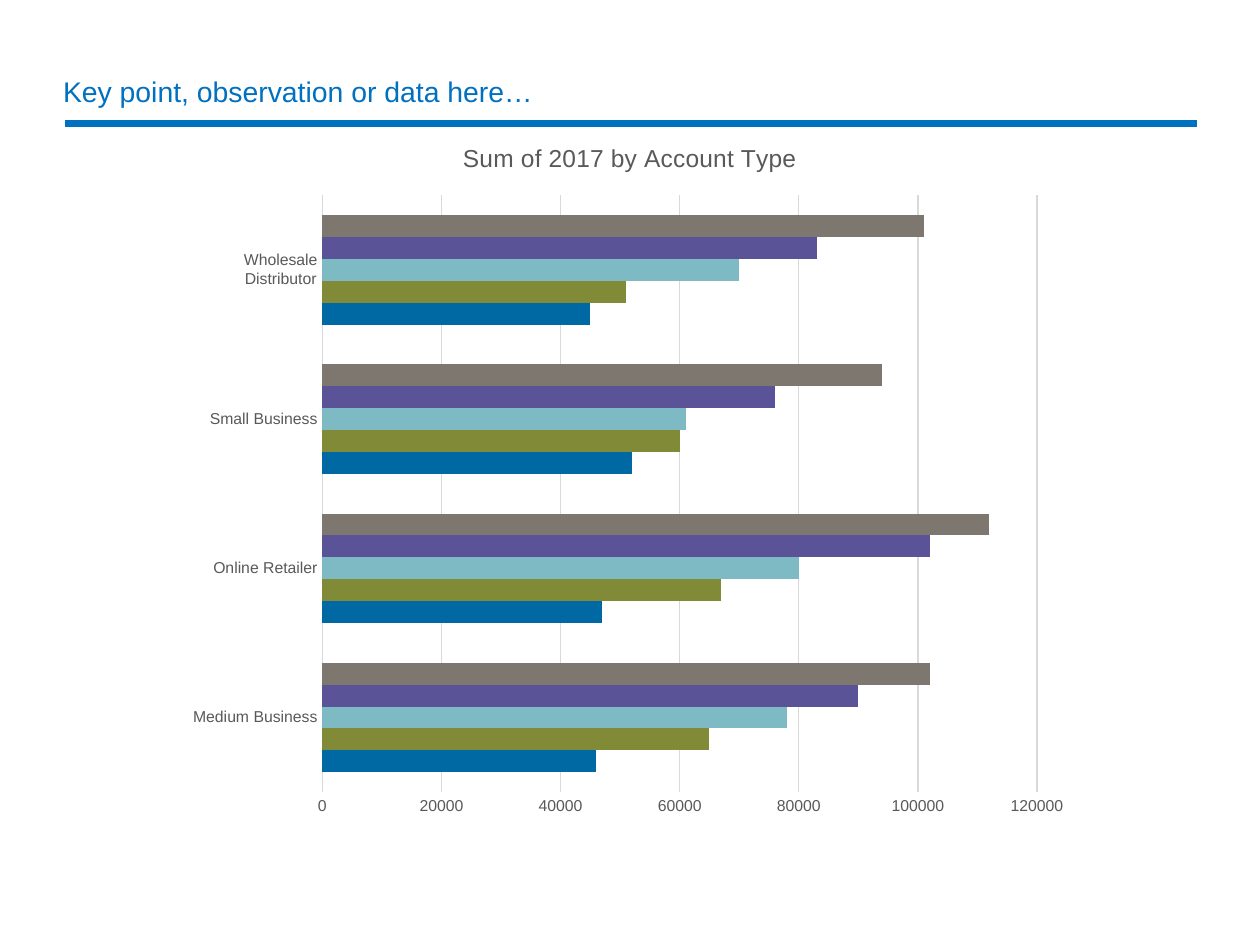
from typing import NamedTuple

from lxml import etree
from pptx import Presentation
from pptx.chart.data import CategoryChartData
from pptx.dml.color import RGBColor
from pptx.enum import chart as ch, shapes, text
from pptx.oxml import parse_xml
from pptx.oxml.ns import nsdecls, qn
from pptx.util import Inches, Pt

FONT = "Arial"
WHITE = RGBColor(0xFF, 0xFF, 0xFF)
BLACK = RGBColor(0x00, 0x00, 0x00)
BLUE = RGBColor(0x00, 0x70, 0xC0)
TEXT_GREY = RGBColor(0x59, 0x59, 0x59)
GRID_GREY = RGBColor(0xD9, 0xD9, 0xD9)


class BarSeries(NamedTuple):
    name: str
    color: RGBColor
    values: tuple[int, ...]


ACCOUNT_TYPES = ("Medium Business", "Online Retailer", "Small Business", "Wholesale Distributor")
SERIES = (
    BarSeries("Series 1", RGBColor(0x00, 0x69, 0xA3), (46000, 47000, 52000, 45000)),
    BarSeries("Series 2", RGBColor(0x81, 0x8A, 0x37), (65000, 67000, 60000, 51000)),
    BarSeries("Series 3", RGBColor(0x7D, 0xBA, 0xC4), (78000, 80000, 61000, 70000)),
    BarSeries("Series 4", RGBColor(0x5A, 0x53, 0x97), (90000, 102000, 76000, 83000)),
    BarSeries("Series 5", RGBColor(0x7E, 0x77, 0x6F), (102000, 112000, 94000, 101000)),
)
PLOT_AREA = {"x": 0.16, "y": 0.11, "w": 0.79, "h": 0.84}


def style_font(font, size: float, color: RGBColor) -> None:
    font.name = FONT
    font.size = Pt(size)
    font.bold = False
    font.color.rgb = color


def add_heading(slide, wording: str) -> None:
    heading = slide.shapes.title
    heading.left, heading.top = Inches(0.5), Inches(0.59)
    heading.width, heading.height = Inches(9), Inches(0.3)
    frame = heading.text_frame
    frame.word_wrap = True
    frame.auto_size = text.MSO_AUTO_SIZE.NONE
    frame.vertical_anchor = text.MSO_ANCHOR.MIDDLE
    frame.margin_left = frame.margin_right = 0
    frame.margin_top = frame.margin_bottom = Inches(0.05)
    paragraph = frame.paragraphs[0]
    paragraph.alignment = text.PP_ALIGN.LEFT
    paragraph.line_spacing = 0.9
    run = paragraph.add_run()
    run.text = wording
    style_font(run.font, 16.2, BLUE)


def add_heading_rule(slide) -> None:
    rule = slide.shapes.add_connector(
        shapes.MSO_CONNECTOR.STRAIGHT, Inches(0.52), Inches(0.98), Inches(9.5), Inches(0.98)
    )
    rule.line.color.rgb = BLUE
    rule.line.width = Pt(4.5)
    etree.SubElement(rule._element.spPr, qn("a:effectLst"))


def style_axis(axis) -> None:
    axis.major_tick_mark = axis.minor_tick_mark = ch.XL_TICK_MARK.NONE
    style_font(axis.tick_labels.font, 9, TEXT_GREY)


def style_grey_line(line) -> None:
    line.color.rgb = GRID_GREY
    line.width = Pt(0.75)


def fix_plot_area(chart) -> None:
    """Pin the inner plot area to fractions of the chart frame."""
    modes = '<c:xMode val="edge"/><c:yMode val="edge"/>'
    sizes = "".join(f'<c:{key} val="{value}"/>' for key, value in PLOT_AREA.items())
    layout = parse_xml(
        f'<c:layout {nsdecls("c")}><c:manualLayout><c:layoutTarget val="inner"/>'
        f"{modes}{sizes}</c:manualLayout></c:layout>"
    )
    plot_area = chart._chartSpace.chart.plotArea
    for existing in plot_area.findall(qn("c:layout")):
        plot_area.remove(existing)
    plot_area.insert(0, layout)


def add_account_chart(slide) -> None:
    data = CategoryChartData()
    data.categories = ACCOUNT_TYPES
    for series in SERIES:
        data.add_series(series.name, series.values)
    chart = slide.shapes.add_chart(
        ch.XL_CHART_TYPE.BAR_CLUSTERED,
        Inches(1.41), Inches(0.93), Inches(7.18), Inches(5.64), data,
    ).chart
    style_font(chart.font, 10, BLACK)
    chart.has_legend = False

    title_run = chart.chart_title.text_frame.paragraphs[0].add_run()
    title_run.text = "Sum of 2017 by Account Type"
    style_font(title_run.font, 14, TEXT_GREY)
    chart.chart_title.include_in_layout = False

    style_axis(chart.category_axis)
    style_grey_line(chart.category_axis.format.line)
    amounts = chart.value_axis
    style_axis(amounts)
    amounts.minimum_scale, amounts.maximum_scale, amounts.major_unit = 0, 120000, 20000
    amounts.format.line.fill.background()
    style_grey_line(amounts.major_gridlines.format.line)

    bars = chart.plots[0]
    bars.gap_width = 182
    bars.overlap = 0
    bars.vary_by_categories = False
    for drawn, series in zip(bars.series, SERIES):
        drawn.format.fill.solid()
        drawn.format.fill.fore_color.rgb = series.color
    fix_plot_area(chart)


def main() -> None:
    deck = Presentation()
    deck.slide_width, deck.slide_height = Inches(10), Inches(7.5)
    slide = deck.slides.add_slide(deck.slide_layouts.get_by_name("Title Only"))
    slide.background.fill.solid()
    slide.background.fill.fore_color.rgb = WHITE
    add_heading_rule(slide)
    add_heading(slide, "Key point, observation or data here…")
    add_account_chart(slide)
    deck.save("out.pptx")


if __name__ == "__main__":
    main()
